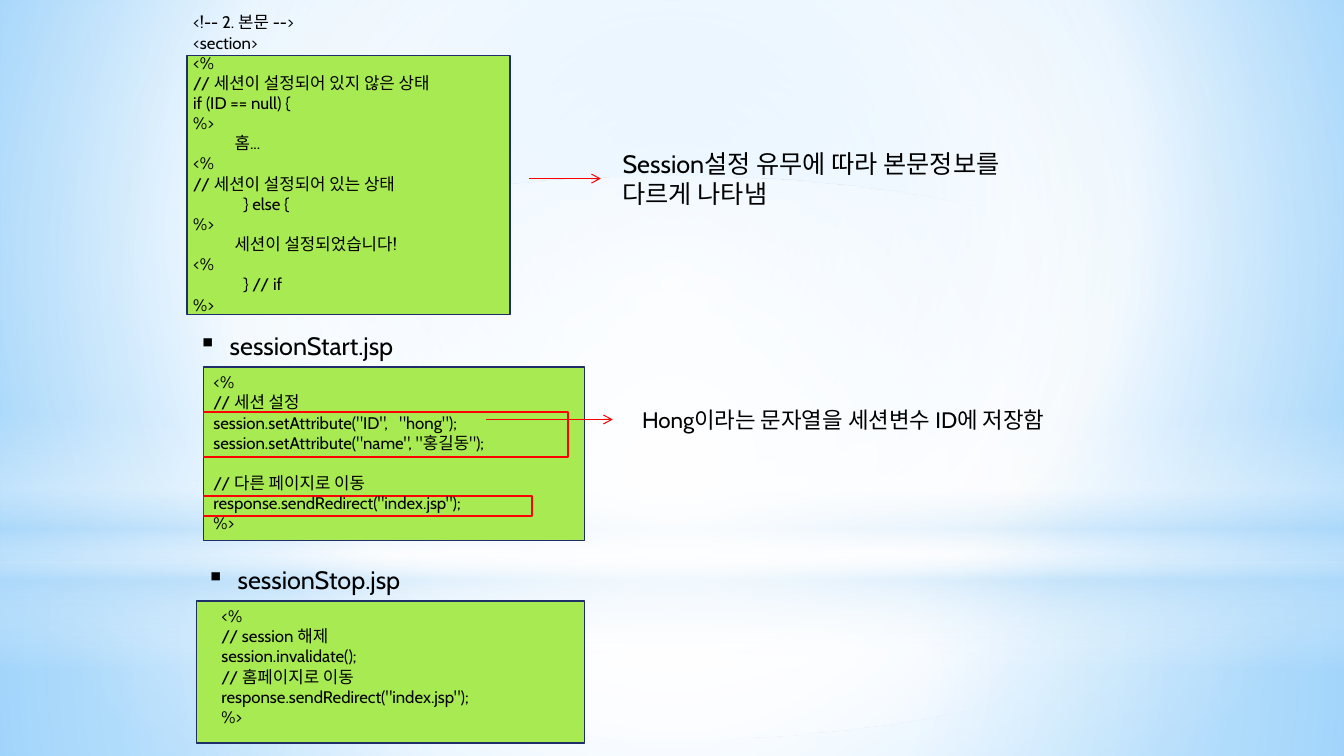
from lxml import etree
from pptx import Presentation
from pptx.dml.color import RGBColor
from pptx.enum.shapes import MSO_CONNECTOR, MSO_SHAPE
from pptx.enum.text import MSO_AUTO_SIZE
from pptx.oxml import parse_xml
from pptx.oxml.ns import nsdecls, qn
from pptx.util import Cm, Pt

RECT, ELLIPSE = MSO_SHAPE.RECTANGLE, MSO_SHAPE.OVAL
STRAIGHT = MSO_CONNECTOR.STRAIGHT
FIT_SHAPE = MSO_AUTO_SIZE.SHAPE_TO_FIT_TEXT
FONT = "Cabin"
COLORS = {
    "text": "000000", "panel": "A7EA52", "border": "1F2E69", "mark": "FF0000",
    "white": "FFFFFF", "mist": "B4DCFA", "sky": "9ED5FF", "blue": "5BB9FF",
}
RADIAL = '<a:path path="circle"><a:fillToRect l="{}000" t="{}000" r="{}000" b="{}000"/></a:path>'
CENTERED = RADIAL.format(50, 50, 50, 50)
VERTICAL = '<a:lin ang="5400000" scaled="0"/>'
WIDTH, HEIGHT, HORIZON = 33.87, 19.05, 14.17


def paint_gradient(properties, stops, direction):
    """Replace a solid fill by (position %, colour, opacity %) stops."""
    stop_xml = "".join(
        f'<a:gs pos="{pos}000"><a:srgbClr val="{COLORS[color]}">'
        f'<a:alpha val="{opacity}000"/></a:srgbClr></a:gs>'
        for pos, color, opacity in stops)
    gradient = parse_xml(f'<a:gradFill {nsdecls("a")} rotWithShape="1">'
                         f'<a:gsLst>{stop_xml}</a:gsLst>{direction}</a:gradFill>')
    properties.replace(properties.find(qn("a:solidFill")), gradient)


def add_text(box, text, size, wrap, bullet=None):
    left, top, width, height = map(Cm, box)
    frame = slide.shapes.add_textbox(left, top, width, height).text_frame
    frame.word_wrap = wrap
    frame.auto_size = FIT_SHAPE
    frame.text = text
    for paragraph in frame.paragraphs:
        if bullet:
            properties = paragraph._p.get_or_add_pPr()
            properties.set("marL", str(Cm(0.79)))
            properties.set("indent", str(-Cm(0.79)))
            etree.SubElement(properties, qn("a:buChar")).set("char", bullet)
        if not paragraph.runs:
            etree.SubElement(paragraph._p, qn("a:endParaRPr")).set("sz", str(size * 100))
        for run in paragraph.runs:
            run.font.name = FONT
            run.font.size = Pt(size)
            run.font.color.rgb = RGBColor.from_string(COLORS["text"])


prs = Presentation()
prs.slide_width, prs.slide_height = Cm(WIDTH), Cm(HEIGHT)
slide = prs.slides.add_slide(prs.slide_layouts[6])

# Backdrop of sky, ground and light
slide.background.fill.solid()
paint_gradient(slide.element.find(".//" + qn("p:bgPr")),
               [(0, "sky", 100), (60, "white", 100), (100, "blue", 100)],
               RADIAL.format(20, 10, 20, 60))
backdrop = [
    (RECT, HORIZON, HEIGHT - HORIZON, CENTERED,
     [(0, "white", 91), (37, "white", 76), (100, "mist", 79)]),
    (RECT, 0, HORIZON, CENTERED,
     [(0, "white", 89), (48, "white", 62), (100, "mist", 79)]),
    (RECT, 10.46, 6.35, VERTICAL,
     [(0, "white", 0), (29, "white", 30), (45, "mist", 40),
      (55, "white", 26), (65, "mist", 60), (100, "white", 0)]),
    (ELLIPSE, 4.45, HORIZON, CENTERED, [(0, "white", 100), (56, "white", 0)]),
]
for outline, top, height, direction, stops in backdrop:
    layer = slide.shapes.add_shape(outline, 0, Cm(top), Cm(WIDTH), Cm(height))
    layer.shadow.inherit = False
    layer.line.fill.background()
    layer.fill.solid()
    paint_gradient(layer.element.spPr, stops, direction)

# Code panels, then the red frames around the key calls
boxes = [
    ((4.95, 15.14, 9.78, 3.58), "panel", "border"),
    ((5.13, 9.25, 9.6, 4.37), "panel", "border"),
    ((4.72, 1.4, 8.13, 6.53), "panel", "border"),
    ((5.13, 10.39, 9.19, 1.12), None, "mark"),
    ((5.13, 12.5, 8.28, 0.51), None, "mark"),
]
for box, fill, border in boxes:
    panel = slide.shapes.add_shape(RECT, *map(Cm, box))
    panel.shadow.inherit = False
    if fill:
        panel.fill.solid()
        panel.fill.fore_color.rgb = RGBColor.from_string(COLORS[fill])
    else:
        panel.fill.background()
    panel.line.color.rgb = RGBColor.from_string(COLORS[border])
    panel.line.width = Pt(1.25)

body_code = """<!-- 2. 본문 -->
<section>
<%
// 세션이 설정되어 있지 않은 상태
if (ID == null) {
%>
           홈...
<%
// 세션이 설정되어 있는 상태
\t} else {
%>
           세션이 설정되었습니다!
<%
\t} // if
%>"""
start_code = """<%
// 세션 설정
session.setAttribute("ID",   "hong");
session.setAttribute("name", "홍길동");

// 다른 페이지로 이동
response.sendRedirect("index.jsp");
%>"""
stop_code = """<%
// session 해제
session.invalidate();
// 홈페이지로 이동
response.sendRedirect("index.jsp");
%>"""
add_text((4.62, 0.18, 20.19, 7.95), body_code, 12, True)
add_text((5.13, 9.25, 15.6, 4.37), start_code, 12, True)
add_text((5.33, 15.14, 12.7, 3.33), stop_code, 12, True)

add_text((4.75, 8.2, 5.82, 1.02), "sessionStart.jsp", 18, False, "▪")
add_text((4.95, 14.1, 5.66, 1.02), "sessionStop.jsp", 18, False, "▪")

add_text((15.44, 3.61, 11.02, 1.8),
         "Session설정 유무에 따라 본문정보를\n다르게 나타냄", 18, False)
add_text((15.93, 10.11, 11.56, 0.94),
         "Hong이라는 문자열을 세션변수 ID에 저장함", 16, False)

# Arrows from the code to its explanation
for start, end, y in [(13.34, 15.14, 4.5), (12.24, 15.44, 10.57)]:
    arrow = slide.shapes.add_connector(STRAIGHT, Cm(start), Cm(y), Cm(end), Cm(y))
    arrow.line.color.rgb = RGBColor.from_string(COLORS["mark"])
    arrow.line.width = Pt(0.75)
    etree.SubElement(arrow.line._get_or_add_ln(), qn("a:tailEnd")).set("type", "arrow")
    etree.SubElement(arrow._element.spPr, qn("a:effectLst"))

prs.save("out.pptx")
